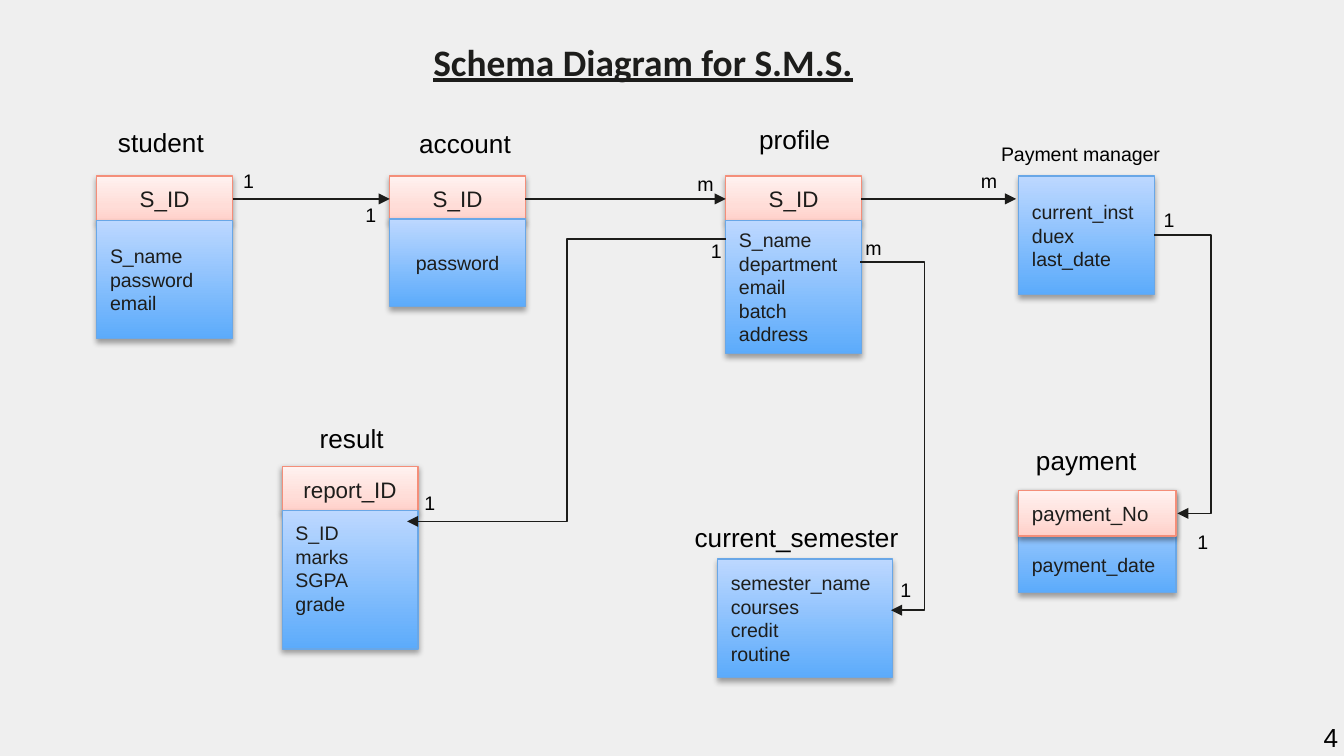
from lxml import etree
from pptx import Presentation
from pptx.dml.color import RGBColor
from pptx.enum.shapes import MSO_CONNECTOR, MSO_SHAPE
from pptx.enum.text import MSO_ANCHOR, MSO_AUTO_SIZE, PP_ALIGN
from pptx.oxml import parse_xml
from pptx.oxml.ns import nsdecls, qn
from pptx.util import Inches, Pt

LEFT, CENTER = PP_ALIGN.LEFT, PP_ALIGN.CENTER
MIDDLE = MSO_ANCHOR.MIDDLE
FIT = MSO_AUTO_SIZE.SHAPE_TO_FIT_TEXT
RECT = MSO_SHAPE.RECTANGLE
STRAIGHT, ELBOW = MSO_CONNECTOR.STRAIGHT, MSO_CONNECTOR.ELBOW

GRAY = RGBColor(0xEF, 0xEF, 0xEF)
DARK = RGBColor(0x1D, 0x1D, 0x1B)
WIRE = RGBColor(0x1C, 0x1C, 0x1A)
BLACK = RGBColor(0, 0, 0)
BLUE = RGBColor(0x69, 0xA7, 0xE7)
PINK = RGBColor(0xF4, 0x8E, 0x79)
PALE = [(0, RGBColor(0xFF, 0xCF, 0xC8)), (35, RGBColor(0xFF, 0xDD, 0xD8)),
        (100, RGBColor(0xFF, 0xF2, 0xF0))]
SKY = [(0, RGBColor(0x5C, 0xAB, 0xFB)), (100, RGBColor(0xBD, 0xD8, 0xFF))]

KEY = (PINK, PALE, 38, 1.6)
BODY = (BLUE, SKY, 35, 1.8)
HEAD = 0.34

prs = Presentation()
prs.slide_width, prs.slide_height = Inches(10), Inches(10 * 9 / 16)
slide = prs.slides.add_slide(prs.slide_layouts[6])
slide.background.fill.solid()
slide.background.fill.fore_color.rgb = GRAY
shapes = slide.shapes


def write(shape, lines, size, color, align=LEFT, face="Arial"):
    frame = shape.text_frame
    frame.text = "\n".join(lines)
    for para in frame.paragraphs:
        para.alignment = align
        para.font.name = face
        para.font.size = Pt(size)
        para.font.color.rgb = color
    return frame


def cell(style, place, lines, size, align=LEFT, top=0.05, low=0.05):
    """Add a shaded rectangle; top and low are its text margins."""
    edge, shades, alpha, drop = style
    rect = shapes.add_shape(RECT, *map(Inches, place))
    stops = "".join(f'<a:gs pos="{pos * 1000}"><a:srgbClr val="{tint}"/></a:gs>'
                    for pos, tint in shades)
    props = rect.element.spPr
    props.append(parse_xml(
        f'<a:gradFill {nsdecls("a")}><a:gsLst>{stops}</a:gsLst>'
        '<a:lin ang="16200000" scaled="0"/></a:gradFill>'))
    rect.line.color.rgb = edge
    rect.line.width = Pt(0.75)
    props.append(parse_xml(
        f'<a:effectLst {nsdecls("a")}><a:outerShdw blurRad="{Pt(3.1)}" '
        f'dist="{Pt(drop)}" dir="5400000" rotWithShape="0"><a:srgbClr val="000000">'
        f'<a:alpha val="{alpha * 1000}"/></a:srgbClr></a:outerShdw></a:effectLst>'))
    frame = write(rect, lines, size, DARK, align)
    frame.vertical_anchor = MIDDLE
    frame.margin_top, frame.margin_bottom = Inches(top), Inches(low)
    return rect


title = shapes.add_textbox(Inches(2.75), Inches(0.19), Inches(4.07), Inches(0.63))
frame = write(title, ["Schema Diagram for S.M.S."], 20, DARK, CENTER, "Calibri")
frame.word_wrap = True
frame.margin_top = frame.margin_bottom = Inches(0.1)
font = frame.paragraphs[0].font
font.bold = font.underline = True

# Tables with a key row: left, top, body top, body height, key, fields, align, low margin
keyed = {
    "student": (0.72, 1.31, 1.64, 0.88, "S_ID", ["S_name", "password", "email"], LEFT, 0.05),
    "account": (2.9, 1.31, 1.63, 0.65, "S_ID", ["password"], CENTER, 0.05),
    "profile": (5.4, 1.31, 1.64, 0.99, "S_ID",
                ["S_name", "department", "email", "batch", "address"], LEFT, 0.05),
    "result": (2.1, 3.47, 3.8, 1.03, "report_ID",
               ["S_ID", "marks", "SGPA", "grade"], LEFT, 0.22),
}
keys = {}
for name, (x, y, down, tall, key, fields, align, low) in keyed.items():
    keys[name] = cell(KEY, (x, y, 1.01, HEAD), [key], 12, CENTER)
    cell(BODY, (x, down, 1.01, tall), fields, 10.5, align, low=low)

cell(BODY, (7.58, 1.31, 1.01, 0.88), ["current_inst", "duex", "last_date"], 10.5)
cell(BODY, (5.34, 4.16, 1.3, 0.88),
     ["semester_name", "courses", "credit", "routine"], 10.5)
cell(BODY, (7.58, 3.65, 1.17, 0.76), ["payment_date"], 10.5, top=0.39)
cell(KEY, (7.58, 3.65, 1.17, HEAD), ["payment_No"], 11)

# Start, end, bend, joined tables
wires = [
    (1.73, 1.48, 2.9, 1.48, None, "student", "account"),
    (3.91, 1.48, 5.4, 1.48, None, "account", "profile"),
    (6.41, 1.48, 7.56, 1.48, None, "profile", None),
    (8.59, 1.75, 8.76, 3.82, 9.01, None, None),
    (6.4, 1.95, 6.63, 4.54, 6.88, None, None),
    (5.4, 1.78, 3.03, 3.88, 4.22, None, None),
]
for x1, y1, x2, y2, bend, start, end in wires:
    kind = ELBOW if bend else STRAIGHT
    wire = shapes.add_connector(kind, *map(Inches, (x1, y1, x2, y2)))
    if start:
        wire.begin_connect(keys[start], 3)
    if end:
        wire.end_connect(keys[end], 1)
    wire.line.color.rgb = WIRE
    wire.line.width = Pt(0.75)
    props = wire.element.spPr
    if bend:
        ratio = round((bend - x1) / (x2 - x1) * 100000)
        guides = props.find(qn("a:prstGeom")).find(qn("a:avLst"))
        etree.SubElement(guides, qn("a:gd"), name="adj1", fmla=f"val {ratio}")
    etree.SubElement(props.find(qn("a:ln")), qn("a:tailEnd"), type="triangle")
    etree.SubElement(props, qn("a:effectLst"))

labels = [
    ("student", 0.78, 0.89, 0.84, 14), ("account", 3.02, 0.9, 0.89, 14),
    ("profile", 5.55, 0.87, 0.73, 14), ("Payment manager", 7.35, 1.01, 1.46, 10.5),
    ("payment", 7.61, 3.26, 0.95, 14), ("current_semester", 5.07, 3.83, 1.72, 14),
    ("result", 2.28, 3.09, 0.68, 14), ("4", 9.75, 5.32, 0.31, 14),
]
marks = [
    ("1", 1.71, 1.21), ("1", 2.62, 1.46), ("m", 5.09, 1.23), ("m", 7.2, 1.21),
    ("1", 3.06, 3.6), ("1", 6.6, 4.25), ("m", 6.34, 1.71), ("1", 8.56, 1.5),
    ("1", 8.81, 3.89), ("1", 5.19, 1.73),
]
labels += [(text, x, y, 0.25, 10.5) for text, x, y in marks]
for text, x, y, wide, size in labels:
    tall = 0.34 if size == 14 else 0.29
    label = shapes.add_textbox(*map(Inches, (x, y, wide, tall)))
    frame = write(label, [text], size, BLACK)
    frame.word_wrap = wide == 0.25
    frame.auto_size = FIT

prs.save("out.pptx")
